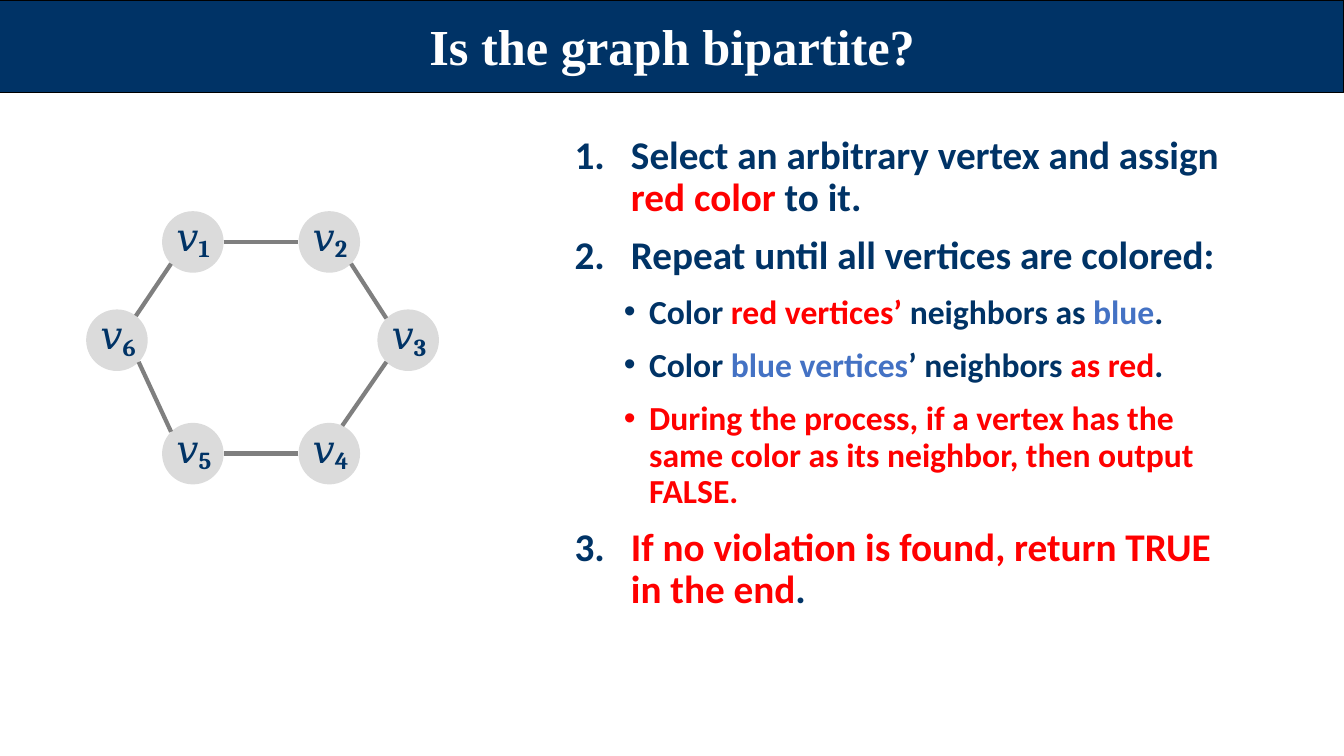
from math import cos, radians, sin

from lxml.etree import SubElement
from pptx import Presentation
from pptx.dml.color import RGBColor
from pptx.enum.shapes import MSO_CONNECTOR, MSO_SHAPE
from pptx.enum.text import MSO_ANCHOR, PP_ALIGN
from pptx.oxml.ns import qn
from pptx.util import Inches, Pt

NAVY = RGBColor(0x00, 0x33, 0x66)
RED = RGBColor(0xFF, 0x00, 0x00)
BLUE = RGBColor(0x44, 0x72, 0xC4)
WHITE = RGBColor(0xFF, 0xFF, 0xFF)
BLACK = RGBColor(0x00, 0x00, 0x00)
VERTEX_GRAY = RGBColor(0xDB, 0xDB, 0xDB)
EDGE_GRAY = RGBColor(0x7F, 0x7F, 0x7F)

WIDTH, HEIGHT = Inches(13.33), Inches(7.5)

# Vertex number: centre in percent of the slide's width and height
VERTICES = {
    1: (14.35, 32), 2: (24.5, 32), 3: (30.37, 45),
    4: (24.5, 60), 5: (14.35, 60), 6: (8.7, 45),
}
# Start vertex, angle on its rim, end vertex, angle on its rim
EDGES = [
    (1, 0, 2, 180), (2, 45, 3, -135), (3, 135, 4, -65),
    (4, 180, 5, 0), (5, -135, 6, 45), (6, -52, 1, 135),
]
# Number (None for a bullet), space before, exact line spacing, coloured pieces
STEPS = [
    (1, 5, 30, [("Select an arbitrary vertex and assign ", NAVY),
                ("red color ", RED), ("to it.", NAVY)]),
    (2, 8, None, [("Repeat until all vertices are colored:", NAVY)]),
    (None, 9.4, None, [("Color ", NAVY), ("red vertices’ ", RED),
                       ("neighbors as ", NAVY), ("blue", BLUE), (".", NAVY)]),
    (None, 9.2, None, [("Color ", NAVY), ("blue vertices", BLUE),
                       ("’ neighbors ", NAVY), ("as red", RED), (".", NAVY)]),
    (None, 12.4, 26, [("During the process, if a vertex has the same color as "
                       "its neighbor, then output FALSE.", RED)]),
    (3, 11.8, 30, [("If no violation is found, return TRUE in the end", RED),
                   (".", NAVY)]),
]


def across(percent):
    return round(WIDTH * percent / 100)


def down(percent):
    return round(HEIGHT * percent / 100)


RADIUS = across(2.29)


def format_run(run, font_name, size, color):
    run.font.name = font_name
    run.font.size = Pt(size)
    run.font.bold = True
    run.font.color.rgb = color


def set_margins(frame, left=0, top=0, right=0):
    frame.margin_left, frame.margin_top = Inches(left), Inches(top)
    frame.margin_right, frame.margin_bottom = Inches(right), 0


def add_title_band(slide, text):
    band = slide.shapes.add_shape(MSO_SHAPE.RECTANGLE, 0, 0, WIDTH, down(12.27))
    band.shadow.inherit = False
    band.fill.solid()
    band.fill.fore_color.rgb = NAVY
    band.line.color.rgb = BLACK
    band.line.width = Pt(0.75)

    title = slide.shapes.title
    title.element.addprevious(band.element)  # band lies behind the title
    title.left, title.top = across(29.02), down(1.73)
    title.width, title.height = across(42), down(8.4)
    heading = title.text_frame
    heading.text = text
    heading.vertical_anchor = MSO_ANCHOR.MIDDLE
    set_margins(heading, top=0.01)
    heading.paragraphs[0].alignment = PP_ALIGN.CENTER
    format_run(heading.paragraphs[0].runs[0], "Times New Roman", 36, WHITE)


def center_of(vertex):
    x, y = VERTICES[vertex]
    return across(x), down(y)


def rim_point(vertex, angle):
    x, y = center_of(vertex)
    turn = radians(angle)
    return round(x + RADIUS * cos(turn)), round(y + RADIUS * sin(turn))


def add_vertex(slide, number):
    x, y = center_of(number)
    circle = slide.shapes.add_shape(
        MSO_SHAPE.OVAL, x - RADIUS, y - RADIUS, 2 * RADIUS, 2 * RADIUS)
    circle.shadow.inherit = False
    circle.fill.solid()
    circle.fill.fore_color.rgb = VERTEX_GRAY
    circle.line.fill.background()

    label = slide.shapes.add_textbox(
        x - across(1.53), y - down(4.4), across(3.35), down(6.53)).text_frame
    set_margins(label, left=0.04, top=0.01)
    name = label.paragraphs[0]
    name.space_before = Pt(1)
    name.text = "𝑣"
    format_run(name.runs[0], "Cambria", 28, NAVY)
    subscript = name.add_run()
    subscript.text = str(number)
    format_run(subscript, "Cambria", 30, NAVY)
    subscript.font._element.set("baseline", "-15000")


def add_edge(slide, start, start_angle, end, end_angle):
    edge = slide.shapes.add_connector(
        MSO_CONNECTOR.STRAIGHT,
        *rim_point(start, start_angle), *rim_point(end, end_angle))
    edge.line.color.rgb = EDGE_GRAY
    edge.line.width = Pt(3)
    SubElement(edge.element.spPr, qn("a:effectLst"))


def set_marker(paragraph, number, color):
    """Give a step its number, or a bullet when it has none."""
    left, hanging = (0.76, 0.25) if number is None else (0.58, 0.56)
    props = paragraph._p.get_or_add_pPr()
    props.set("marL", str(Inches(left)))
    props.set("indent", str(-Inches(hanging)))
    marker_color = SubElement(props, qn("a:buClr"))
    SubElement(marker_color, qn("a:srgbClr"), val=str(color))
    if number is None:
        SubElement(props, qn("a:buFont"), typeface="Arial")
        SubElement(props, qn("a:buChar"), char="•")
    else:
        SubElement(props, qn("a:buFont"), typeface="Calibri")
        SubElement(props, qn("a:buAutoNum"), type="arabicPeriod",
                   startAt=str(number))


def add_steps(slide):
    steps = slide.shapes.add_textbox(
        across(42.6), down(16.93), across(51.75), down(64.4)).text_frame
    steps.word_wrap = True
    set_margins(steps, top=0.07, right=0.38)
    for index, (number, space, spacing, pieces) in enumerate(STEPS):
        step = steps.add_paragraph() if index else steps.paragraphs[0]
        step.space_before = Pt(space)
        if spacing:
            step.line_spacing = Pt(spacing)
        if number is None:
            step.level = 1
        set_marker(step, number, pieces[0][1] if number is None else NAVY)
        for text, color in pieces:
            piece = step.add_run()
            piece.text = text
            format_run(piece, "Calibri", 24 if number is None else 28, color)


def main():
    deck = Presentation()
    deck.slide_width, deck.slide_height = WIDTH, HEIGHT
    slide = deck.slides.add_slide(deck.slide_layouts[5])

    # Heading
    add_title_band(slide, "Is the graph bipartite?")

    # Algorithm
    add_steps(slide)

    # Graph
    for number in VERTICES:
        add_vertex(slide, number)
    for edge in EDGES:
        add_edge(slide, *edge)

    deck.save("out.pptx")


if __name__ == "__main__":
    main()
